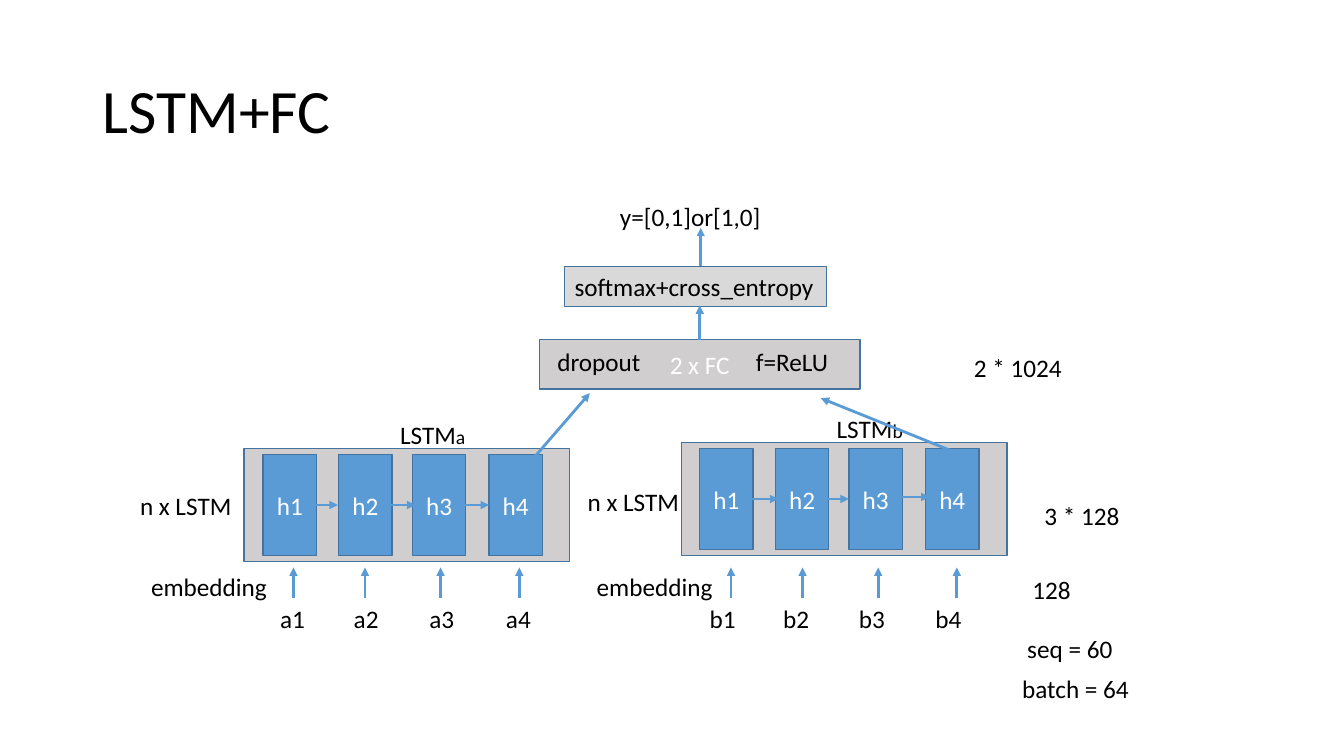
import pptx
import pptx.dml.color
import pptx.enum.shapes
import pptx.enum.text
import pptx.oxml
import pptx.oxml.ns
import pptx.util
from pptx.util import Inches

THEME = {
    "font": "Calibri", "title": 44, "body": 18, "suffix": 14,
    "ink": "000000", "light": "FFFFFF", "cell": "5B9BD5", "panel": "D0CECE",
    "softmax": "D9D9D9", "outline": "43739E", "arrow": "5B9BD5",
}

TITLE = "LSTM+FC"
HIDDEN_STATES = ["h1", "h2", "h3", "h4"]

# Steps are x offsets measured from the first item of each row.
CELL_STEPS = [0, 0.75, 1.48, 2.24]
INPUT_STEPS = [0, 0.73, 1.48, 2.24]
EMBEDDING_STEPS = [0, 0.71, 1.46, 2.24]
PANEL_SIZE = (3.23, 1.12)
CELL_SIZE = (0.53, 1)
CELL_MARGIN = 0.06
INPUT_TOP = 5.94
EMBEDDING_SPAN = (5.93, 5.63)
STATE_ARROW = 0.27

ENCODERS = [
    {"name": "a", "panel": (2.42, 4.45), "first_cell": 2.61,
     "label": (3.87, 4.11), "first_input": 2.68, "input_width": 0.45,
     "first_embedding": 2.91,
     "state_arrows": [(3.08, 5.01), (3.85, 5.01), (4.58, 5.01)],
     "to_dense": [(5.08, 4.79), (5.85, 3.9)]},
    {"name": "b", "panel": (6.76, 4.39), "first_cell": 6.94,
     "label": (8.2, 4.05), "first_input": 6.94, "input_width": 0.46,
     "first_embedding": 7.25,
     "state_arrows": [(7.45, 4.95), (8.15, 4.95), (8.95, 4.93)],
     "to_dense": [(9.43, 4.47), (8.14, 3.95)]},
]

DENSE = ("2 x FC", (5.35, 3.37, 3.18, 0.49))
SOFTMAX = ("softmax+cross_entropy", (5.6, 2.64, 2.6, 0.4))
OUTPUT_ARROWS = [[(6.94, 3.37), (6.94, 3.03)], [(6.95, 2.64), (6.95, 2.26)]]

# text, left, top, width
ANNOTATIONS = [
    ("y=[0,1]or[1,0]", 6.05, 1.95, 1.61),
    ("f=ReLU", 7.4, 3.39, 0.93),
    ("dropout", 5.43, 3.39, 1.04),
    ("embedding", 1.4, 5.62, 1.37),
    ("embedding", 5.82, 5.62, 1.37),
    ("n x LSTM", 1.29, 4.82, 1.12),
    ("n x LSTM", 5.73, 4.78, 1.12),
    ("128", 10.14, 5.65, 0.59),
    ("3 * 128", 10.26, 4.91, 0.96),
    ("2 * 1024", 9.56, 3.45, 1.08),
    ("seq = 60", 10.09, 6.23, 1.06),
    ("batch = 64", 10.04, 6.63, 1.27),
]
LABEL_HEIGHT = 0.4


def color(role):
    """Return the theme colour for a role."""
    return pptx.dml.color.RGBColor.from_string(THEME[role])


def write(frame, runs, ink="ink"):
    """Add (text, size role) runs to the first paragraph of a frame."""
    paragraph = frame.paragraphs[0]
    for text, size in runs:
        run = paragraph.add_run()
        run.text = text
        run.font.name = THEME["font"]
        run.font.size = pptx.util.Pt(THEME[size])
        run.font.color.rgb = color(ink)
    return paragraph


def fit_to_text(frame):
    """Keep the text on one line in a frame that grows with it."""
    frame.word_wrap = False
    frame.auto_size = pptx.enum.text.MSO_AUTO_SIZE.SHAPE_TO_FIT_TEXT


def add_label(slide, left, top, width, *runs):
    """Add a one-line text label."""
    label = slide.shapes.add_textbox(
        *map(Inches, (left, top, width, LABEL_HEIGHT)))
    fit_to_text(label.text_frame)
    write(label.text_frame, runs)


def add_box(slide, bounds, fill, line_width=1):
    """Add an outlined rectangle and return it."""
    box = slide.shapes.add_shape(
        pptx.enum.shapes.MSO_SHAPE.RECTANGLE, *map(Inches, bounds))
    box.shadow.inherit = False
    box.fill.solid()
    box.fill.fore_color.rgb = color(fill)
    box.line.color.rgb = color("outline")
    box.line.width = pptx.util.Pt(line_width)
    return box


def add_block(slide, text, bounds, fill):
    """Add a rectangle with light text in its middle."""
    frame = add_box(slide, bounds, fill).text_frame
    frame.vertical_anchor = pptx.enum.text.MSO_ANCHOR.MIDDLE
    paragraph = write(frame, [(text, "body")], "light")
    paragraph.alignment = pptx.enum.text.PP_ALIGN.CENTER


def add_arrow(slide, start, end):
    """Add a straight arrow pointing at its end."""
    arrow = slide.shapes.add_connector(
        pptx.enum.shapes.MSO_CONNECTOR.STRAIGHT, *map(Inches, (*start, *end)))
    arrow.line.color.rgb = color("arrow")
    arrow.line.width = pptx.util.Pt(2)
    head = pptx.oxml.parse_xml(
        f'<a:tailEnd {pptx.oxml.ns.nsdecls("a")} type="triangle"/>')
    arrow.line._get_or_add_ln().append(head)
    no_effects = pptx.oxml.parse_xml(
        f'<a:effectLst {pptx.oxml.ns.nsdecls("a")}/>')
    arrow._element.spPr.append(no_effects)


def add_title(slide):
    """Add the slide title."""
    title = slide.shapes.add_textbox(*map(Inches, (0.92, 0.4, 11.5, 1.45)))
    title.text_frame.word_wrap = True
    title.text_frame.vertical_anchor = pptx.enum.text.MSO_ANCHOR.MIDDLE
    write(title.text_frame, [(TITLE, "title")]).line_spacing = 0.9


def add_encoder(slide, encoder):
    """Add one LSTM panel with its cells, inputs and arrows."""
    name = encoder["name"]
    left, top = encoder["panel"]
    add_box(slide, (left, top, *PANEL_SIZE), "panel")
    for state, step in zip(HIDDEN_STATES, CELL_STEPS):
        bounds = (encoder["first_cell"] + step, top + CELL_MARGIN, *CELL_SIZE)
        add_block(slide, state, bounds, "cell")
    add_label(slide, *encoder["label"], 0.86, ("LSTM", "body"), (name, "suffix"))
    for number, step in enumerate(INPUT_STEPS, 1):
        add_label(slide, encoder["first_input"] + step, INPUT_TOP,
                  encoder["input_width"], (f"{name}{number}", "body"))
    for step in EMBEDDING_STEPS:
        x = encoder["first_embedding"] + step
        add_arrow(slide, *((x, y) for y in EMBEDDING_SPAN))
    for x, y in encoder["state_arrows"]:
        add_arrow(slide, (x, y), (x + STATE_ARROW, y))
    add_arrow(slide, *encoder["to_dense"])


def main():
    """Build and save the slide."""
    deck = pptx.Presentation()
    deck.slide_width, deck.slide_height = Inches(13.33), Inches(7.5)
    slide = deck.slides.add_slide(deck.slide_layouts[6])
    add_title(slide)
    for encoder in ENCODERS:
        add_encoder(slide, encoder)
    add_block(slide, *DENSE, "panel")
    softmax_text, softmax_bounds = SOFTMAX
    softmax = add_box(slide, softmax_bounds, "softmax", 0.75).text_frame
    fit_to_text(softmax)
    softmax.vertical_anchor = pptx.enum.text.MSO_ANCHOR.TOP
    paragraph = write(softmax, [(softmax_text, "body")])
    paragraph.alignment = pptx.enum.text.PP_ALIGN.LEFT
    for start, end in OUTPUT_ARROWS:
        add_arrow(slide, start, end)
    for text, left, top, width in ANNOTATIONS:
        add_label(slide, left, top, width, (text, "body"))
    deck.save("out.pptx")


main()
